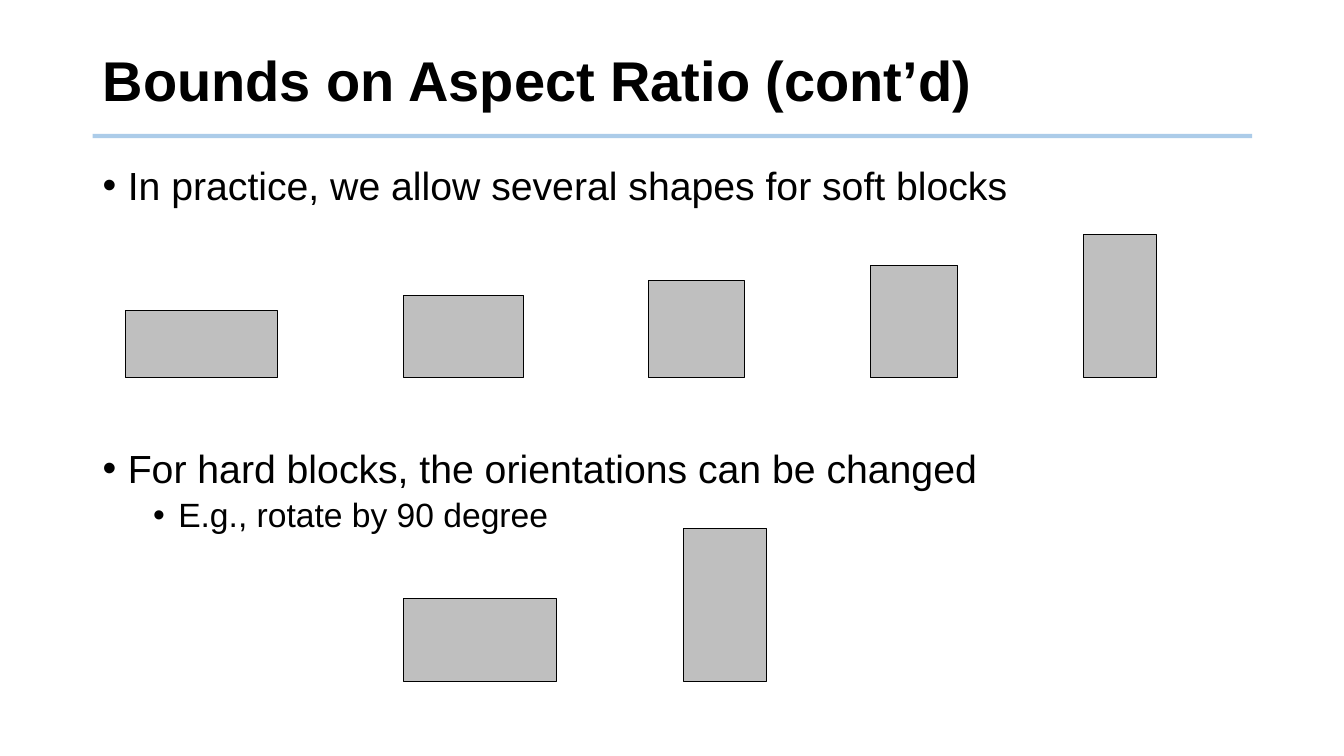
"""Build the slide on aspect ratio bounds for soft and hard blocks."""
from lxml import etree
from pptx import Presentation
from pptx.dml.color import RGBColor
from pptx.enum.shapes import MSO_CONNECTOR as CONNECTOR, MSO_SHAPE as SHAPE
from pptx.enum.text import MSO_ANCHOR as ANCHOR, PP_ALIGN as ALIGN
from pptx.oxml.ns import qn
from pptx.util import Inches, Pt

TITLE = "Bounds on Aspect Ratio (cont’d)"
# text, level, size, space before
BULLETS = [
    ("In practice, we allow several shapes for soft blocks", 0, 28, 0),
    ("For hard blocks, the orientations can be changed", 0, 28, 172),
    ("E.g., rotate by 90 degree", 1, 24, 5),
]
# baseline, then blocks as left, width, height, turned
BLOCK_ROWS = [
    (3.75, [(1.24, 1.51, 0.67, False), (4, 1.19, 0.82, False),
            (6.43, 0.95, 0.97, False), (8.63, 0.87, 1.12, True),
            (10.75, 0.72, 1.42, True)]),
    (6.76, [(4, 1.52, 0.82, False), (6.78, 0.82, 1.52, True)]),
]
LEFT, WIDTH, INDENT = 0.92, 11.5, 0.25


def rgb(color):
    return RGBColor.from_string(color)


def style(paragraph, size, bold=False):
    paragraph.alignment = ALIGN.LEFT
    paragraph.line_spacing = 0.9
    font = paragraph.font
    font.name, font.size, font.bold = "Arial", Pt(size), bold
    font.color.rgb = rgb("000000")


def add_title(slide):
    title = slide.shapes.title
    title.left, title.top = Inches(LEFT), Inches(0.28)
    title.width, title.height = Inches(WIDTH), Inches(1.1)
    title.text_frame.text = TITLE
    title.text_frame.vertical_anchor = ANCHOR.MIDDLE
    style(title.text_frame.paragraphs[0], 40, True)


def add_rule(slide):
    rule = slide.shapes.add_connector(
        CONNECTOR.STRAIGHT, Inches(LEFT), Inches(1.35), Inches(LEFT + WIDTH), Inches(1.35))
    rule.line.color.rgb = rgb("5B9BD5")
    rule.line.width = Pt(3)
    properties = rule._element.spPr
    color = properties.find(".//" + qn("a:srgbClr"))
    etree.SubElement(color, qn("a:alpha"), val="50000")
    etree.SubElement(properties, qn("a:effectLst"))


def add_bullets(slide):
    body = slide.shapes.add_textbox(Inches(LEFT), Inches(1.6), Inches(WIDTH), Inches(5.15))
    frame = body.text_frame
    frame.word_wrap = True
    for index, (text, level, size, before) in enumerate(BULLETS):
        paragraph = frame.add_paragraph() if index else frame.paragraphs[0]
        paragraph.text = text
        paragraph.level = level
        properties = paragraph._p.get_or_add_pPr()
        properties.set("marL", str(Inches(INDENT + 0.5 * level)))
        properties.set("indent", str(-Inches(INDENT)))
        etree.SubElement(properties, qn("a:buFont"), typeface="Arial")
        etree.SubElement(properties, qn("a:buChar"), char="•")
        style(paragraph, size)
        paragraph.space_before = Pt(before)


def add_block(slide, baseline, left, width, height, turned):
    center_x, center_y = left + width / 2, baseline - height / 2
    if turned:
        width, height = height, width
    block = slide.shapes.add_shape(
        SHAPE.RECTANGLE, Inches(center_x - width / 2), Inches(center_y - height / 2),
        Inches(width), Inches(height))
    block.rotation = 90 if turned else 0
    block.shadow.inherit = False
    block.fill.solid()
    block.fill.fore_color.rgb = rgb("BFBFBF")
    block.line.color.rgb = rgb("000000")
    block.line.width = Pt(0.75)


def main():
    deck = Presentation()
    deck.slide_width, deck.slide_height = Inches(13.33), Inches(7.5)
    slide = deck.slides.add_slide(deck.slide_layouts[5])
    add_rule(slide)
    add_title(slide)
    add_bullets(slide)
    for baseline, blocks in BLOCK_ROWS:
        for block in blocks:
            add_block(slide, baseline, *block)
    deck.save("out.pptx")


if __name__ == "__main__":
    main()
